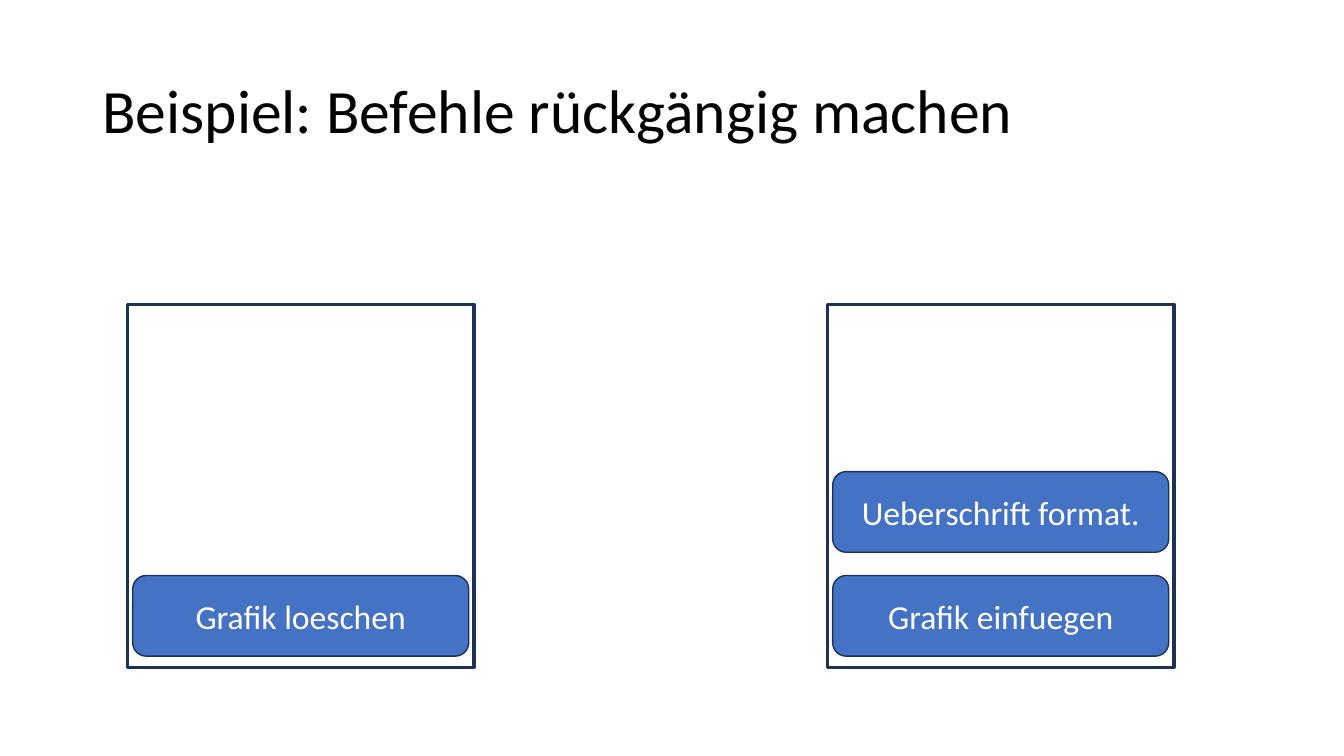
import dataclasses

import pptx
import pptx.dml.color
import pptx.enum.shapes
import pptx.enum.text
import pptx.util

Pt = pptx.util.Pt
SHAPE = pptx.enum.shapes.MSO_SHAPE
ALIGN = pptx.enum.text.PP_ALIGN
ANCHOR = pptx.enum.text.MSO_ANCHOR


@dataclasses.dataclass(frozen=True)
class Theme:
    """Colours, font and type sizes of the slide."""
    font: str = "Calibri"
    ink: str = "000000"
    card_text: str = "FFFFFF"
    card_fill: str = "4472C4"
    outline: str = "1D3155"
    title_size: float = 44
    card_size: float = 24
    card_line: float = 1
    frame_line: float = 2.25


class Builder:
    """Draws elements in one style on the current slide."""

    def __init__(self, s, theme):
        """Keep the slide and its theme."""
        self.s, self.theme = s, theme

    def set_text(self, tf, text, size, color, align):
        """Put one formatted, vertically centred line into a text frame."""
        tf.text = text
        tf.word_wrap = True
        tf.vertical_anchor = ANCHOR.MIDDLE
        p = tf.paragraphs[0]
        p.alignment = align
        font = p.runs[0].font
        font.name, font.size = self.theme.font, Pt(size)
        font.color.rgb = pptx.dml.color.RGBColor.from_string(color)
        return p

    def title(self, text, x, y, w, h):
        """Move and fill the title placeholder."""
        sp = self.s.shapes.title
        sp.left, sp.top, sp.width, sp.height = Pt(x), Pt(y), Pt(w), Pt(h)
        p = self.set_text(sp.text_frame, text, self.theme.title_size,
                          self.theme.ink, ALIGN.LEFT)
        p.line_spacing = 0.9

    def box(self, kind, x, y, w, h, line):
        """Add an outlined shape without shadow."""
        sp = self.s.shapes.add_shape(kind, Pt(x), Pt(y), Pt(w), Pt(h))
        sp.shadow.inherit = False
        sp.line.color.rgb = pptx.dml.color.RGBColor.from_string(self.theme.outline)
        sp.line.width = Pt(line)
        return sp

    def frame(self, x, y, w, h):
        """Add the unfilled frame of a stack."""
        self.box(SHAPE.RECTANGLE, x, y, w, h, self.theme.frame_line).fill.background()

    def card(self, text, x, y, w, h):
        """Add one command card."""
        sp = self.box(SHAPE.ROUNDED_RECTANGLE, x, y, w, h, self.theme.card_line)
        sp.fill.solid()
        sp.fill.fore_color.rgb = pptx.dml.color.RGBColor.from_string(self.theme.card_fill)
        self.set_text(sp.text_frame, text, self.theme.card_size,
                      self.theme.card_text, ALIGN.CENTER)

    def stack(self, x, commands):
        """Add a frame with its commands piled up from the bottom."""
        top, width, height = 217.4, 247.6, 259.2
        card_w, card_h, step, lowest = 240, 57.6, 74.2, 411.1
        self.frame(x, top, width, height)
        for i, command in enumerate(commands):
            self.card(command, x + (width - card_w) / 2, lowest - i * step,
                      card_w, card_h)


def main():
    """Build and save the slide."""
    prs = pptx.Presentation()
    prs.slide_width, prs.slide_height = Pt(960), Pt(540)
    s = prs.slides.add_slide(prs.slide_layouts[5])
    b = Builder(s, Theme())
    b.title("Beispiel: Befehle rückgängig machen", 66, 28.8, 828, 104.4)
    b.stack(91, ["Grafik loeschen"])
    b.stack(591, ["Grafik einfuegen", "Ueberschrift format."])
    prs.save("out.pptx")


main()
